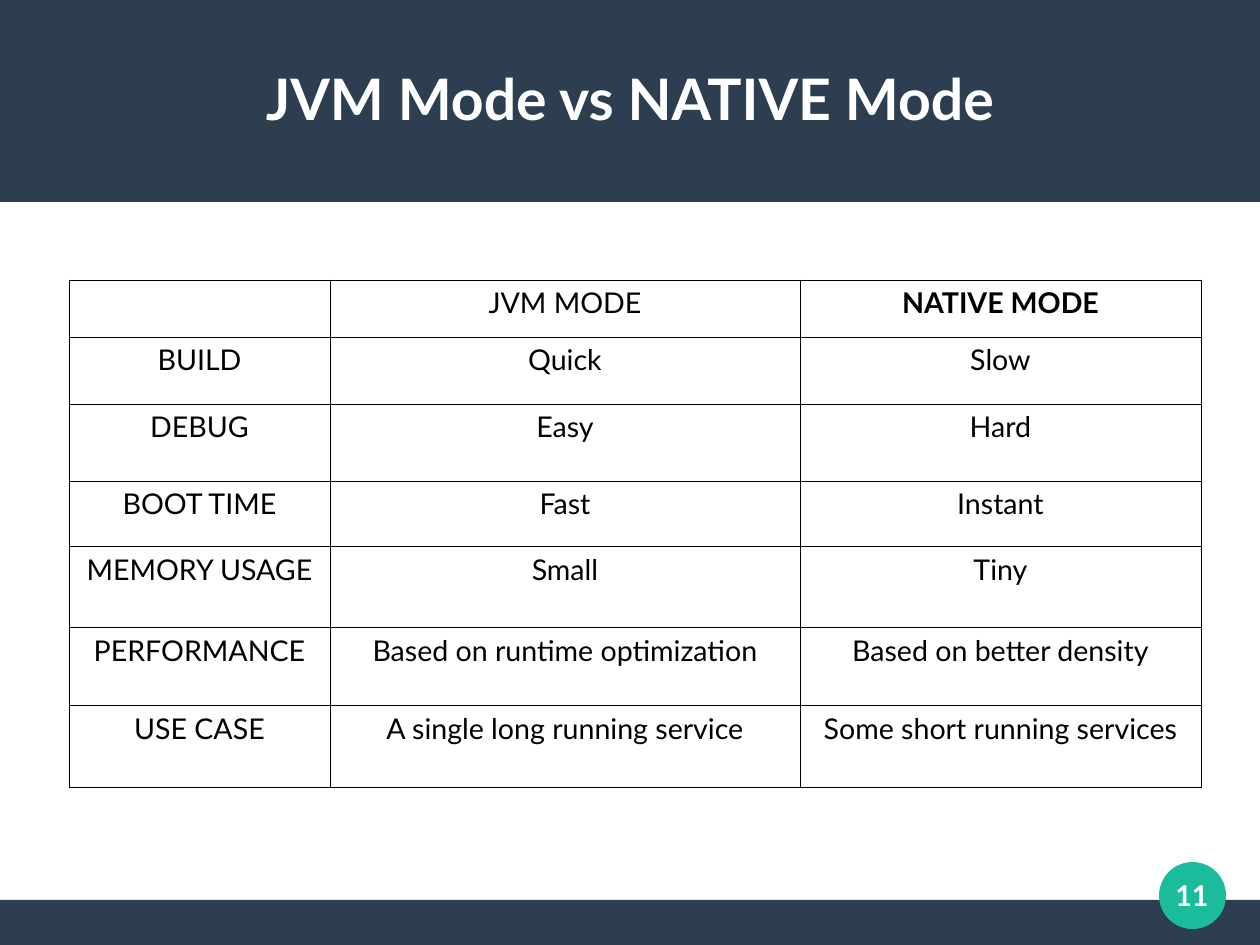
from pptx import Presentation
from pptx.dml.color import RGBColor
from pptx.enum.shapes import MSO_SHAPE
from pptx.enum.text import MSO_ANCHOR, PP_ALIGN
from pptx.oxml.ns import qn
from pptx.util import Emu, Pt
from lxml import etree

RECTANGLE = MSO_SHAPE.RECTANGLE
OVAL = MSO_SHAPE.OVAL
MIDDLE = MSO_ANCHOR.MIDDLE
CENTER = PP_ALIGN.CENTER

NAVY = RGBColor(0x2C, 0x3E, 0x50)
TEAL = RGBColor(0x1A, 0xBC, 0x9C)
WHITE = RGBColor(0xFF, 0xFF, 0xFF)
BLACK = RGBColor(0x00, 0x00, 0x00)

WIDTH, HEIGHT = 1260, 945
EMU_PER_PX = 8000

COLUMN_WIDTHS = [261, 470, 401]
ROW_HEIGHTS = [57, 67, 77, 66, 81, 78, 82]
COMPARISON = [
    ["", "JVM MODE", "NATIVE MODE"],
    ["BUILD", "Quick", "Slow"],
    ["DEBUG", "Easy", "Hard"],
    ["BOOT TIME", "Fast", "Instant"],
    ["MEMORY USAGE", "Small", "Tiny"],
    ["PERFORMANCE", "Based on runtime optimization", "Based on better density"],
    ["USE CASE", "A single long running service", "Some short running services"],
]


def px(length):
    return Emu(length * EMU_PER_PX)


class SlideBuilder:
    font_name = "Lato"
    border_width = Pt(0.57)

    def __init__(self, slide):
        self.slide = slide

    def add_panel(self, preset, left, top, width, height, color):
        shape = self.slide.shapes.add_shape(
            preset, px(left), px(top), px(width), px(height))
        shape.shadow.inherit = False
        shape.fill.solid()
        shape.fill.fore_color.rgb = color
        shape.line.fill.background()

    def add_text(self, text_frame, text, size, color, bold):
        paragraph = text_frame.paragraphs[0]
        paragraph.alignment = CENTER
        run = paragraph.add_run()
        run.text = text
        run.font.name = self.font_name
        run.font.size = Pt(size)
        run.font.bold = bold
        run.font.color.rgb = color

    def add_label(self, left, top, width, height, text, size):
        box = self.slide.shapes.add_textbox(px(left), px(top), px(width), px(height))
        text_frame = box.text_frame
        text_frame.word_wrap = True
        text_frame.vertical_anchor = MIDDLE
        text_frame.margin_left = text_frame.margin_right = 0
        text_frame.margin_top = text_frame.margin_bottom = 0
        self.add_text(text_frame, text, size, WHITE, True)

    def add_borders(self, cell):
        properties = cell._tc.get_or_add_tcPr()
        for side in ("a:lnL", "a:lnR", "a:lnT", "a:lnB"):
            line = etree.SubElement(properties, qn(side), w=str(self.border_width))
            fill = etree.SubElement(line, qn("a:solidFill"))
            etree.SubElement(fill, qn("a:srgbClr"), val=str(BLACK))

    def add_table(self, left, top, column_widths, row_heights, rows):
        table = self.slide.shapes.add_table(
            len(rows), len(column_widths), px(left), px(top),
            px(sum(column_widths)), px(sum(row_heights))).table
        table.first_row = False
        table.horz_banding = False
        for column, width in zip(table.columns, column_widths):
            column.width = px(width)
        for row, height in zip(table.rows, row_heights):
            row.height = px(height)
        for row, texts in zip(table.rows, rows):
            for cell, text in zip(row.cells, texts):
                self.add_borders(cell)
                cell.fill.background()
                if text:
                    self.add_text(cell.text_frame, text, 18, BLACK, text == "NATIVE MODE")


def main():
    presentation = Presentation()
    presentation.slide_width = px(WIDTH)
    presentation.slide_height = px(HEIGHT)
    builder = SlideBuilder(presentation.slides.add_slide(presentation.slide_layouts[6]))

    builder.add_panel(RECTANGLE, 0, 900, WIDTH, 45, NAVY)
    builder.add_panel(RECTANGLE, 0, 0, WIDTH, 202, NAVY)
    builder.add_panel(OVAL, 1159, 862, 67, 67, TEAL)
    builder.add_label(45, 38, 1170, 120, "JVM Mode vs NATIVE Mode", 36)
    builder.add_table(69, 280, COLUMN_WIDTHS, ROW_HEIGHTS, COMPARISON)
    builder.add_label(1147, 850, 90, 90, "11", 18)

    presentation.save("out.pptx")


if __name__ == "__main__":
    main()
